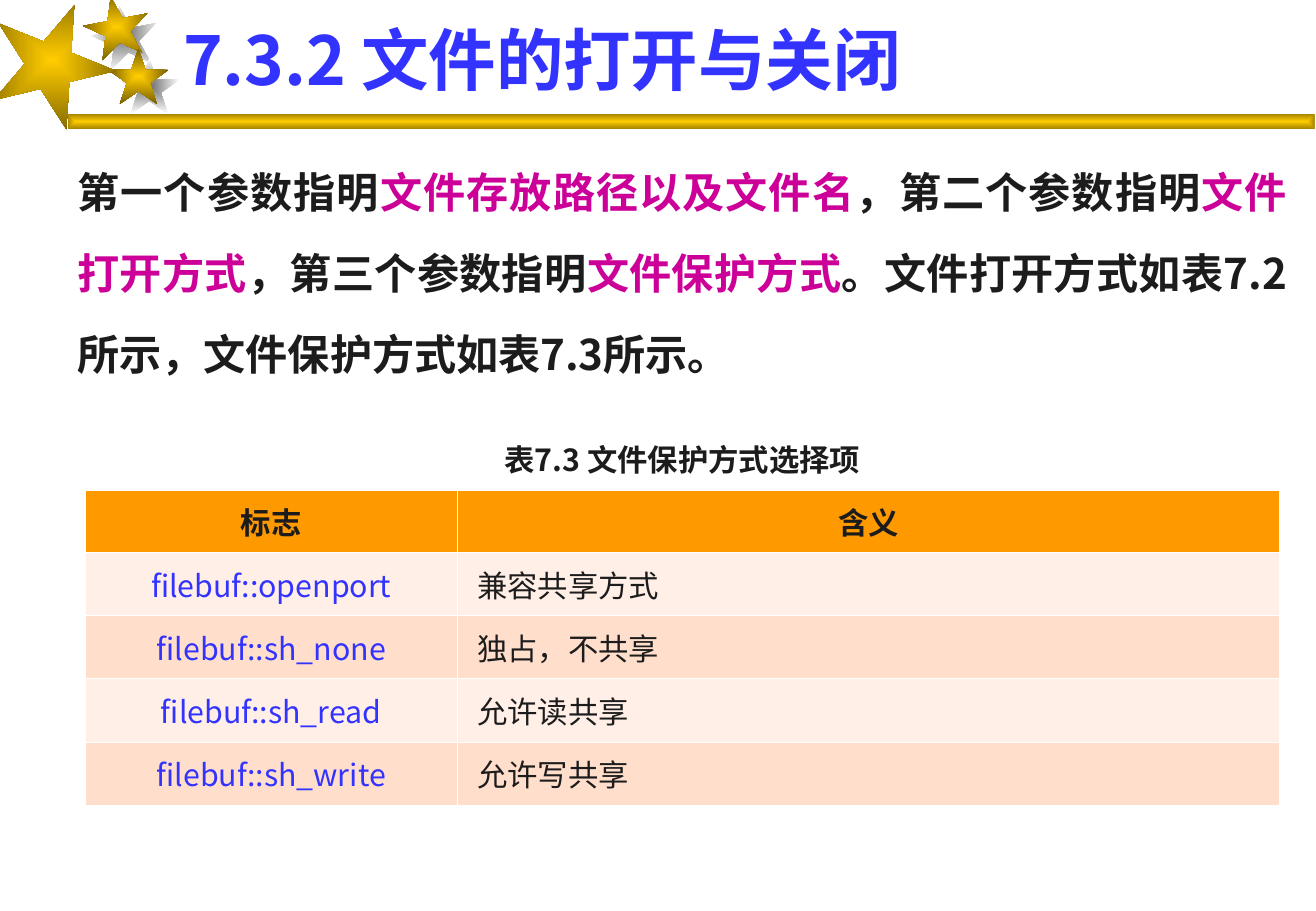
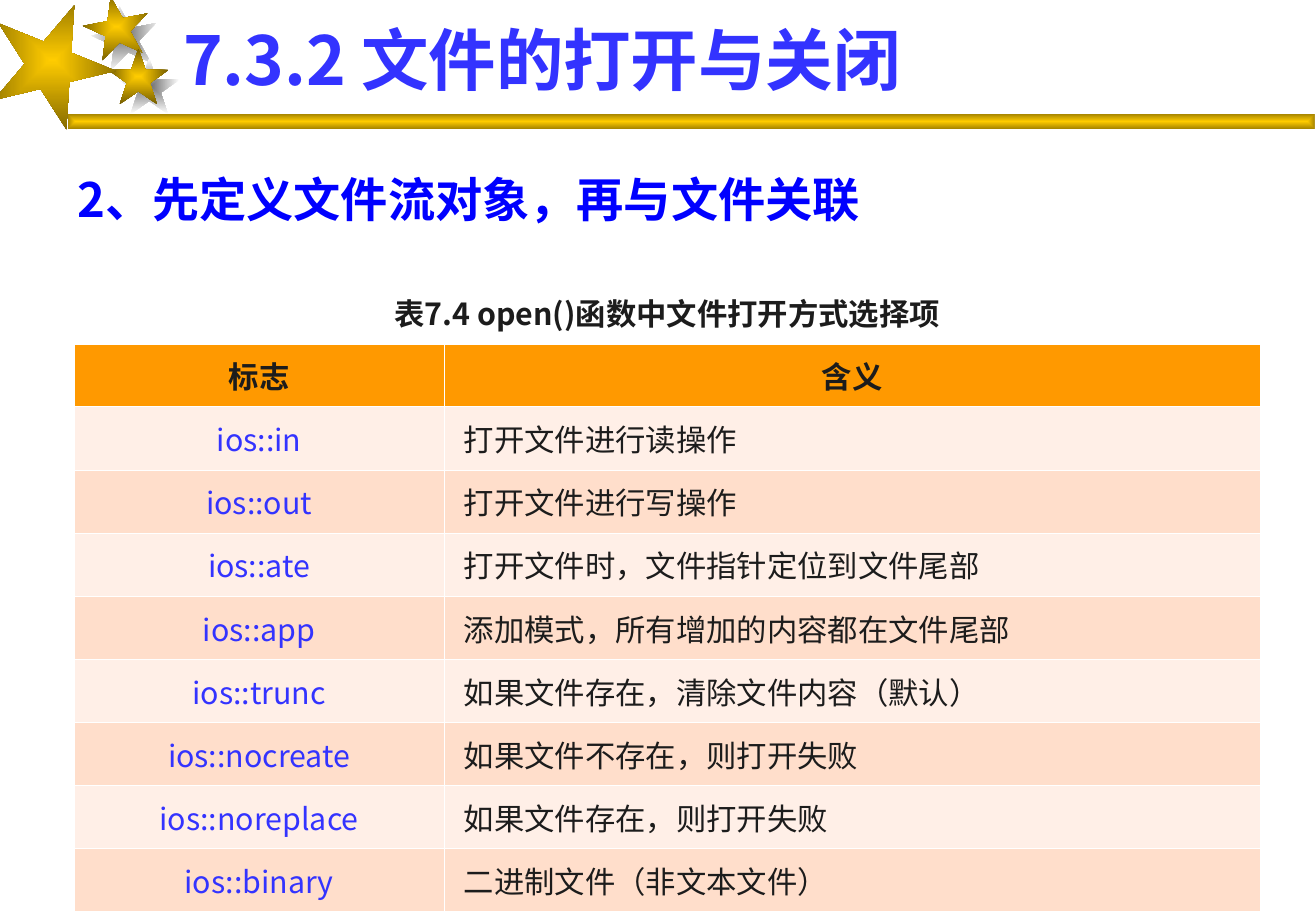
from lxml.etree import SubElement
from pptx import Presentation
from pptx.dml.color import RGBColor
from pptx.enum.shapes import MSO_SHAPE
from pptx.enum.text import MSO_ANCHOR, PP_ALIGN
from pptx.oxml import parse_xml
from pptx.oxml.ns import nsdecls, qn
from pptx.util import Pt

SCALE = 9144
FONT = "Noto Sans CJK SC"
INK, BLUE, PURE_BLUE, MAGENTA = "1C1C1C", "3333FF", "0000FF", "CC0099"
ORANGE, PALE, PEACH, WHITE = "FF9900", "FFEFE7", "FFDECB", "FFFFFF"
BAND_GOLD = ("FFCC00", "A88600")
STAR_GOLD = ("FFCC00", "765E00")
STAR_SHADE = ("767676", WHITE)
STARS = [
    ((76, 5, 54, 50), 349, STAR_SHADE),
    ((98, 48, 50, 46), 0, STAR_SHADE),
    ((69, -3, 54, 50), 349, STAR_GOLD),
    ((89, 40, 50, 46), 0, STAR_GOLD),
    ((-9, 1, 104, 97), 22, STAR_GOLD),
]
TITLE = "7.3.2 文件的打开与关闭"
TITLE_BOX = (141, 5, 942, 87)
BODY_BOX = (54, 107, 1016, 630)
ROW_HEIGHT = 52

PARAMETERS = [
    ("第一个参数指明", INK),
    ("文件存放路径以及文件名", MAGENTA),
    ("，第二个参数指明", INK),
    ("文件打开方式", MAGENTA),
    ("，第三个参数指明", INK),
    ("文件保护方式", MAGENTA),
    ("。文件打开方式如表7.2所示，文件保护方式如表7.3所示。", INK),
]
SHARING_FLAGS = [
    ("filebuf::openport", "兼容共享方式"),
    ("filebuf::sh_none", "独占，不共享"),
    ("filebuf::sh_read", "允许读共享"),
    ("filebuf::sh_write", "允许写共享"),
]
OPEN_FLAGS = [
    ("ios::in", "打开文件进行读操作"),
    ("ios::out", "打开文件进行写操作"),
    ("ios::ate", "打开文件时，文件指针定位到文件尾部"),
    ("ios::app", "添加模式，所有增加的内容都在文件尾部"),
    ("ios::trunc", "如果文件存在，清除文件内容（默认）"),
    ("ios::nocreate", "如果文件不存在，则打开失败"),
    ("ios::noreplace", "如果文件存在，则打开失败"),
    ("ios::binary", "二进制文件（非文本文件）"),
]


def px(*lengths):
    return [length * SCALE for length in lengths]


def rgb(value):
    return RGBColor.from_string(value)


def add_run(paragraph, text, size, color, bold=True):
    run = paragraph.add_run()
    run.text = text
    font = run.font
    font.name, font.size, font.bold = FONT, Pt(size), bold
    font.color.rgb = rgb(color)
    SubElement(font._element, qn("a:ea"), typeface=FONT)


def add_glow(slide, preset, box, colors, rotation=0):
    shape = slide.shapes.add_shape(preset, *px(*box))
    shape.rotation = rotation
    shape.shadow.inherit = False
    shape.line.fill.background()
    stops = "".join(
        f'<a:gs pos="{position}"><a:srgbClr val="{color}"/></a:gs>'
        for position, color in zip((0, 100000), colors))
    gradient = parse_xml(
        f'<a:gradFill {nsdecls("a")} rotWithShape="1"><a:gsLst>{stops}</a:gsLst>'
        '<a:path path="rect"><a:fillToRect l="50000" t="50000" r="50000" b="50000"/>'
        '</a:path></a:gradFill>')
    shape._element.spPr.find(qn("a:prstGeom")).addnext(gradient)


def add_text(slide, box, runs, size, anchor=MSO_ANCHOR.TOP, spacing=1.0, hanging=0):
    frame = slide.shapes.add_textbox(*px(*box)).text_frame
    frame.word_wrap = True
    frame.vertical_anchor = anchor
    paragraph = frame.paragraphs[0]
    paragraph.alignment = PP_ALIGN.JUSTIFY
    paragraph.line_spacing = spacing
    if hanging:
        properties = paragraph._p.get_or_add_pPr()
        properties.set("marL", str(hanging * SCALE))
        properties.set("indent", str(-hanging * SCALE))
    for text, color in runs:
        add_run(paragraph, text, size, color)


def add_heading(slide):
    add_glow(slide, MSO_SHAPE.RECTANGLE, (56, 94, 1027, 12), BAND_GOLD)
    for box, rotation, colors in STARS:
        add_glow(slide, MSO_SHAPE.STAR_5_POINT, box, colors, rotation)
    add_text(slide, TITLE_BOX, [(TITLE, BLUE)], 40, MSO_ANCHOR.MIDDLE)


def add_body(slide, runs, size, hanging=0):
    add_text(slide, BODY_BOX, runs, size, spacing=1.6, hanging=hanging)


def add_borders(cell, top=0.45, bottom=0.45):
    properties = cell._tc.get_or_add_tcPr()
    for side, width in (("L", 0.45), ("R", 0.45), ("T", top), ("B", bottom)):
        line = SubElement(properties, qn(f"a:ln{side}"), w=str(int(Pt(width))))
        solid = SubElement(line, qn("a:solidFill"))
        SubElement(solid, qn("a:srgbClr"), val=WHITE)


def fill_cell(cell, text, color, fill=None, bold=False, centred=True, **borders):
    add_borders(cell, **borders)
    if fill:
        cell.fill.solid()
        cell.fill.fore_color.rgb = rgb(fill)
    else:
        cell.fill.background()
    cell.vertical_anchor = MSO_ANCHOR.MIDDLE
    cell.margin_left, cell.margin_right, cell.margin_top, cell.margin_bottom = px(16, 16, 5, 5)
    paragraph = cell.text_frame.paragraphs[0]
    paragraph.alignment = PP_ALIGN.CENTER if centred else PP_ALIGN.LEFT
    if text:
        add_run(paragraph, text, 18, color, bold)


def add_flag_table(slide, left, top, widths, caption, flags):
    rows = len(flags) + 2
    box = px(left, top, sum(widths), rows * ROW_HEIGHT)
    table = slide.shapes.add_table(rows, 2, *box).table
    table.first_row = table.horz_banding = False
    for column, width in zip(table.columns, px(*widths)):
        column.width = width
    for column, (text, heading) in enumerate(((caption, "标志"), ("", "含义"))):
        fill_cell(table.cell(0, column), text, INK, bold=True, bottom=1.47)
        fill_cell(table.cell(1, column), heading, INK, ORANGE, bold=True, top=1.47)
    table.cell(0, 0).merge(table.cell(0, 1))
    for row, (flag, meaning) in enumerate(flags, 2):
        fill = PEACH if row % 2 else PALE
        fill_cell(table.cell(row, 0), flag, BLUE, fill)
        fill_cell(table.cell(row, 1), meaning, INK, fill, centred=False)


def build_sharing_slide(slide):
    add_heading(slide)
    add_body(slide, PARAMETERS, 25)
    add_flag_table(slide, 70, 351, (307, 677), "表7.3 文件保护方式选择项", SHARING_FLAGS)


def build_open_slide(slide):
    add_heading(slide)
    add_body(slide, [("2、先定义文件流对象，再与文件关联", PURE_BLUE)], 28, hanging=38)
    add_flag_table(slide, 61, 231, (305, 672), "表7.4 open()函数中文件打开方式选择项", OPEN_FLAGS)


def main():
    deck = Presentation()
    deck.slide_width, deck.slide_height = px(1084, 750)
    for build in (build_sharing_slide, build_open_slide):
        build(deck.slides.add_slide(deck.slide_layouts[6]))
    deck.save("out.pptx")


if __name__ == "__main__":
    main()
